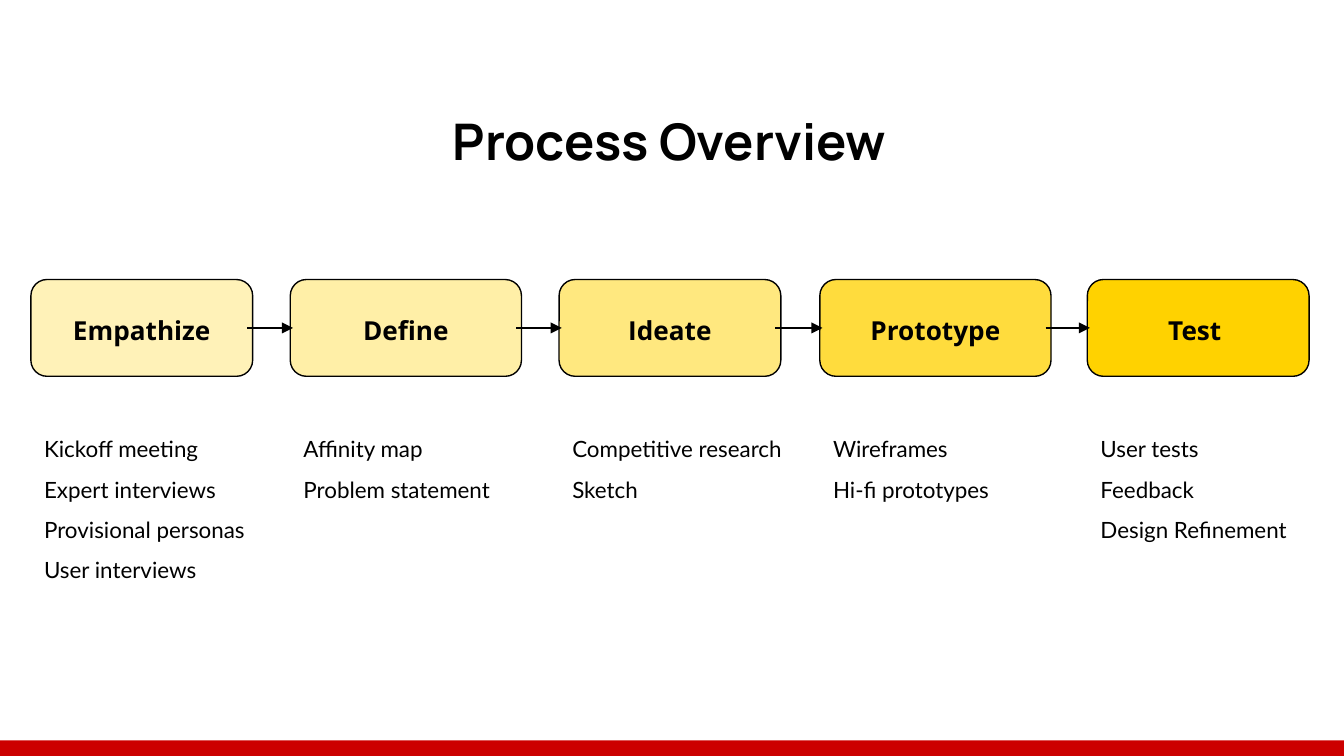
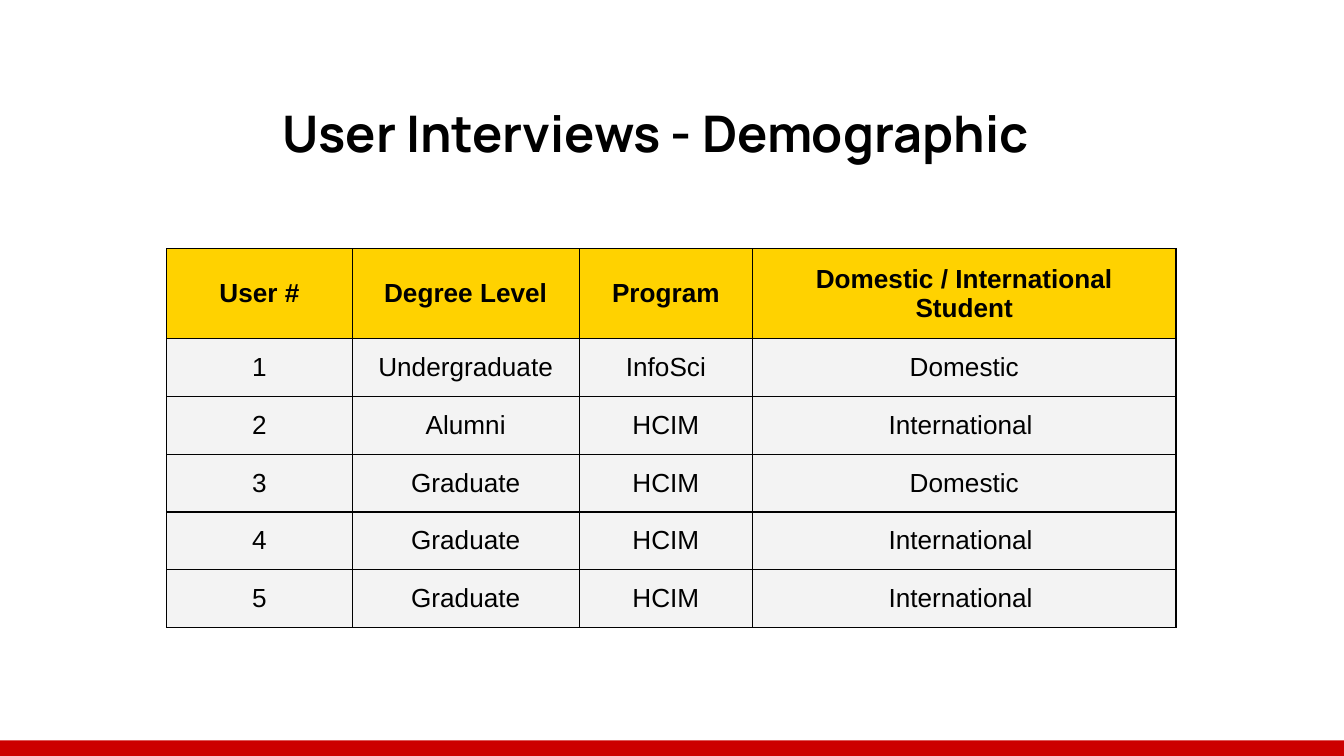
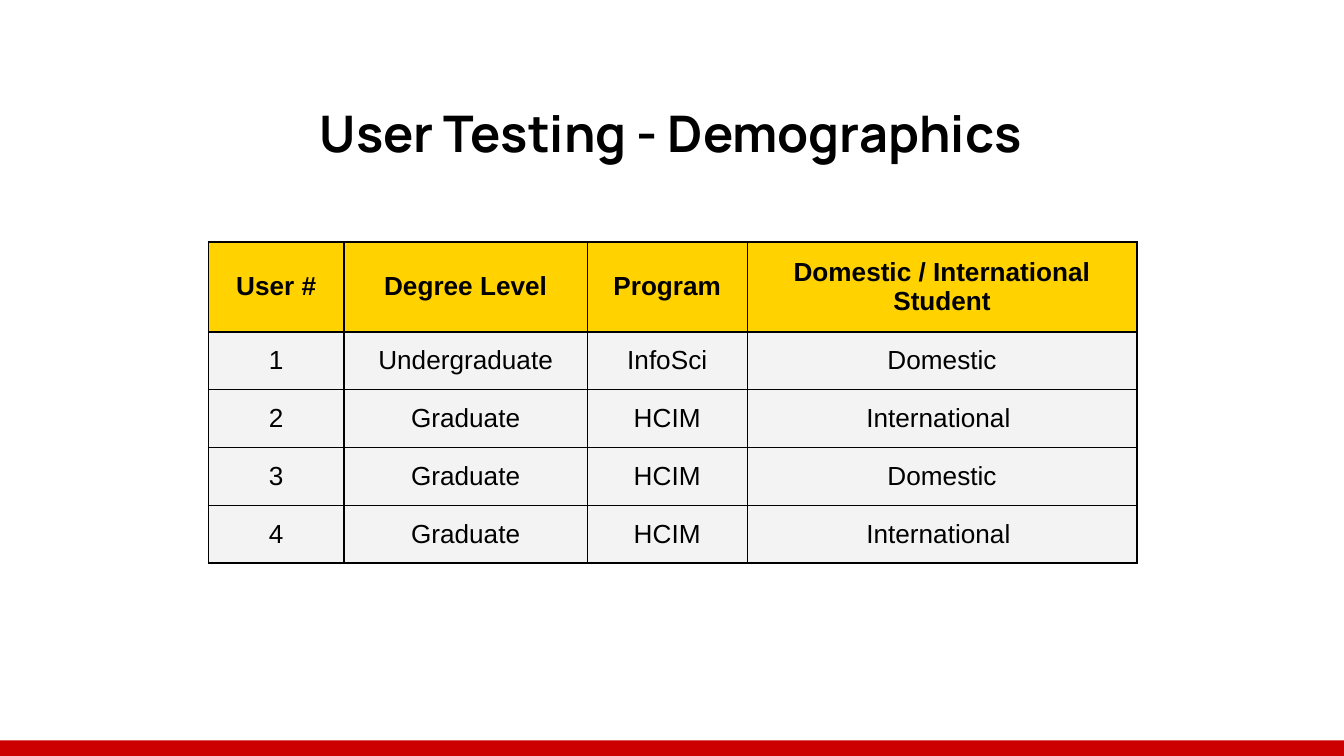
from lxml.etree import SubElement
from pptx import Presentation
from pptx.dml.color import RGBColor
from pptx.enum.shapes import MSO_CONNECTOR, MSO_SHAPE
from pptx.enum.text import MSO_ANCHOR, MSO_AUTO_SIZE, PP_ALIGN
from pptx.oxml.ns import qn
from pptx.util import Inches, Pt

RECT, ROUND = MSO_SHAPE.RECTANGLE, MSO_SHAPE.ROUNDED_RECTANGLE
STRAIGHT = MSO_CONNECTOR.STRAIGHT
TOP, MIDDLE = MSO_ANCHOR.TOP, MSO_ANCHOR.MIDDLE
LEFT, CENTER = PP_ALIGN.LEFT, PP_ALIGN.CENTER
NO_FIT = MSO_AUTO_SIZE.NONE

BLACK, RED, GOLD, CREAM, GRAY = "000000", "CC0000", "FFD200", "FFEFA7", "F3F3F3"
WIDTH = 10
HEIGHT = WIDTH * 9 / 16
BAND_TOP = 5.51
PAD = 0.1
RULE = 0.75

STEPS = [
    ("Empathize", 0.23, 1.65, GOLD, 28,
     ["Kickoff meeting", "Expert interviews", "Provisional personas", "User interviews"]),
    ("Define", 2.16, 1.72, CREAM, 100, ["Affinity map", "Problem statement"]),
    ("Ideate", 4.16, 1.65, GOLD, 50, ["Competitive research", "Sketch"]),
    ("Prototype", 6.1, 1.72, GOLD, 76, ["Wireframes", "Hi-fi prototypes"]),
    ("Test ", 8.09, 1.65, GOLD, 100, ["User tests", "Feedback", "Design Refinement"]),
]
HEAD = ("User #", "Degree Level", "Program", "Domestic / International Student")
UNDER = ("Undergraduate", "InfoSci", "Domestic")
ALUM = ("Alumni", "HCIM", "International ")
LOCAL = ("Graduate", "HCIM", "Domestic")
ABROAD = ("Graduate", "HCIM", "International ")


def color(code):
    """Turn a hex string into a colour."""
    return RGBColor.from_string(code)


def paint(shape, code, alpha=100):
    """Fill a shape, see-through when alpha is below 100."""
    shape.shadow.inherit = False
    shape.fill.solid()
    shape.fill.fore_color.rgb = color(code)
    if alpha < 100:
        tone = shape._element.spPr.find(qn("a:solidFill"))[0]
        SubElement(tone, qn("a:alpha"), val=str(alpha * 1000))


def outline(shape):
    """Give a shape or connector the thin black line."""
    shape.line.color.rgb = color(BLACK)
    shape.line.width = Pt(RULE)


def style(par, face, size, bold=False, align=LEFT):
    """Set the font and alignment of a paragraph."""
    par.alignment = align
    font = par.font
    font.name, font.size, font.bold = face, Pt(size), bold
    font.color.rgb = color(BLACK)


def frame(shape, anchor=TOP):
    """Set up the text frame of a shape and return it."""
    text = shape.text_frame
    text.word_wrap = True
    text.auto_size = NO_FIT
    text.vertical_anchor = anchor
    text.margin_left = text.margin_right = Inches(PAD)
    text.margin_top = text.margin_bottom = Inches(PAD)
    return text


def add_page(deck, title, left, top, width):
    """Add a slide with its title and the red band."""
    slide = deck.slides.add_slide(deck.slide_layouts[5])
    band = slide.shapes.add_shape(
        RECT, 0, Inches(BAND_TOP), Inches(WIDTH), Inches(HEIGHT - BAND_TOP))
    paint(band, RED)
    band.line.fill.background()
    head = slide.shapes.title
    head.left, head.top = Inches(left), Inches(top)
    head.width, head.height = Inches(width), Inches(0.69)
    text = frame(head)
    text.text = title
    style(text.paragraphs[0], "Manrope", 27, True)
    return slide


def add_step(slide, left, top, width, name, code, alpha):
    """Draw a rounded box with its label centred on it."""
    high, wide, tall = 0.72, 1.52, 0.44
    box = slide.shapes.add_shape(
        ROUND, Inches(left), Inches(top), Inches(width), Inches(high))
    paint(box, code, alpha)
    outline(box)
    label = slide.shapes.add_textbox(
        Inches(left + (width - wide) / 2), Inches(top + (high - tall) / 2),
        Inches(wide), Inches(tall))
    text = frame(label, MIDDLE)
    text.text = name
    par = text.paragraphs[0]
    style(par, "Open Sans", 14, True, CENTER)
    par.line_spacing, par.space_after = 1.15, Pt(12)


def add_tasks(slide, left, top, tasks):
    """List the tasks of a step."""
    box = slide.shapes.add_textbox(
        Inches(left), Inches(top), Inches(1.9), Inches(0.1 + 0.3 * len(tasks)))
    text = frame(box)
    text.text = "\n".join(tasks)
    for par in text.paragraphs:
        style(par, "Lato", 12)
        par.line_spacing = 1.5


def add_arrow(slide, start, end, y):
    """Draw a level arrow."""
    arrow = slide.shapes.add_connector(
        STRAIGHT, Inches(start), Inches(y), Inches(end), Inches(y))
    outline(arrow)
    props = arrow._element.spPr
    SubElement(props.find(qn("a:ln")), qn("a:tailEnd"), type="triangle")
    SubElement(props, qn("a:effectLst"))


def add_flow(slide, top):
    """Lay out the steps, their tasks and the arrows between them."""
    for name, left, width, code, alpha, tasks in STEPS:
        add_step(slide, left, top, width, name, code, alpha)
        add_tasks(slide, left, top + 0.96, tasks)
    for step, after in zip(STEPS, STEPS[1:]):
        add_arrow(slide, step[1] + step[2] - 0.04, after[1] + 0.02, top + 0.36)


def add_edges(cell):
    """Draw the four borders of a cell."""
    props = cell._tc.get_or_add_tcPr()
    for side in ("lnL", "lnR", "lnT", "lnB"):
        line = SubElement(props, qn("a:" + side), w=str(Pt(RULE)))
        fill = SubElement(line, qn("a:solidFill"))
        SubElement(fill, qn("a:srgbClr"), val=BLACK)


def fill_cell(cell, words, is_head):
    """Write and format a cell."""
    add_edges(cell)
    cell.fill.solid()
    cell.fill.fore_color.rgb = color(GOLD if is_head else GRAY)
    cell.vertical_anchor = MIDDLE
    cell.margin_left = cell.margin_right = Inches(PAD)
    cell.margin_top = cell.margin_bottom = Inches(PAD)
    cell.text = words
    style(cell.text_frame.paragraphs[0], "Arial", 14, is_head, CENTER)


def add_users(slide, left, top, widths, users):
    """Add the table of numbered users."""
    rows = [HEAD] + [(str(num), *user) for num, user in enumerate(users, 1)]
    highs = [0.67] + [0.43] * len(users)
    table = slide.shapes.add_table(
        len(rows), len(HEAD), Inches(left), Inches(top),
        Inches(sum(widths)), Inches(sum(highs))).table
    table.first_row = table.horz_banding = False
    for col, width in zip(table.columns, widths):
        col.width = Inches(width)
    for r, (row, high) in enumerate(zip(rows, highs)):
        table.rows[r].height = Inches(high)
        for c, words in enumerate(row):
            fill_cell(table.cell(r, c), words, r == 0)


def main():
    """Build and save the deck."""
    deck = Presentation()
    deck.slide_width, deck.slide_height = Inches(WIDTH), Inches(HEIGHT)
    add_flow(add_page(deck, "Process Overview", 3.27, 0.72, 3.48), 2.08)
    talks = add_page(deck, "User Interviews - Demographic", 2, 0.66, 5.99)
    add_users(talks, 1.24, 1.85, (1.38, 1.69, 1.29, 3.15),
              [UNDER, ALUM, LOCAL, ABROAD, ABROAD])
    tests = add_page(deck, "User Testing - Demographics", 2.28, 0.66, 5.45)
    add_users(tests, 1.55, 1.8, (1.01, 1.81, 1.19, 2.9),
              [UNDER, ABROAD, LOCAL, ABROAD])
    deck.save("out.pptx")


if __name__ == "__main__":
    main()
